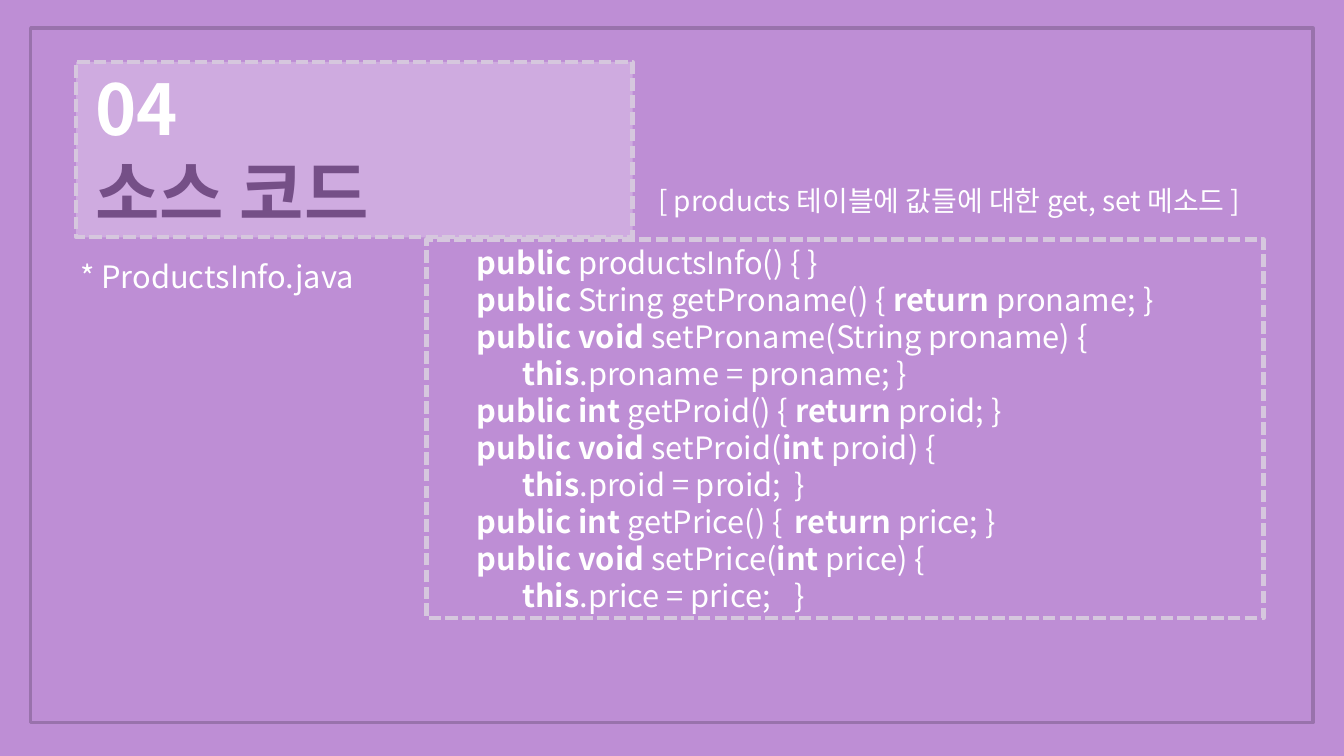
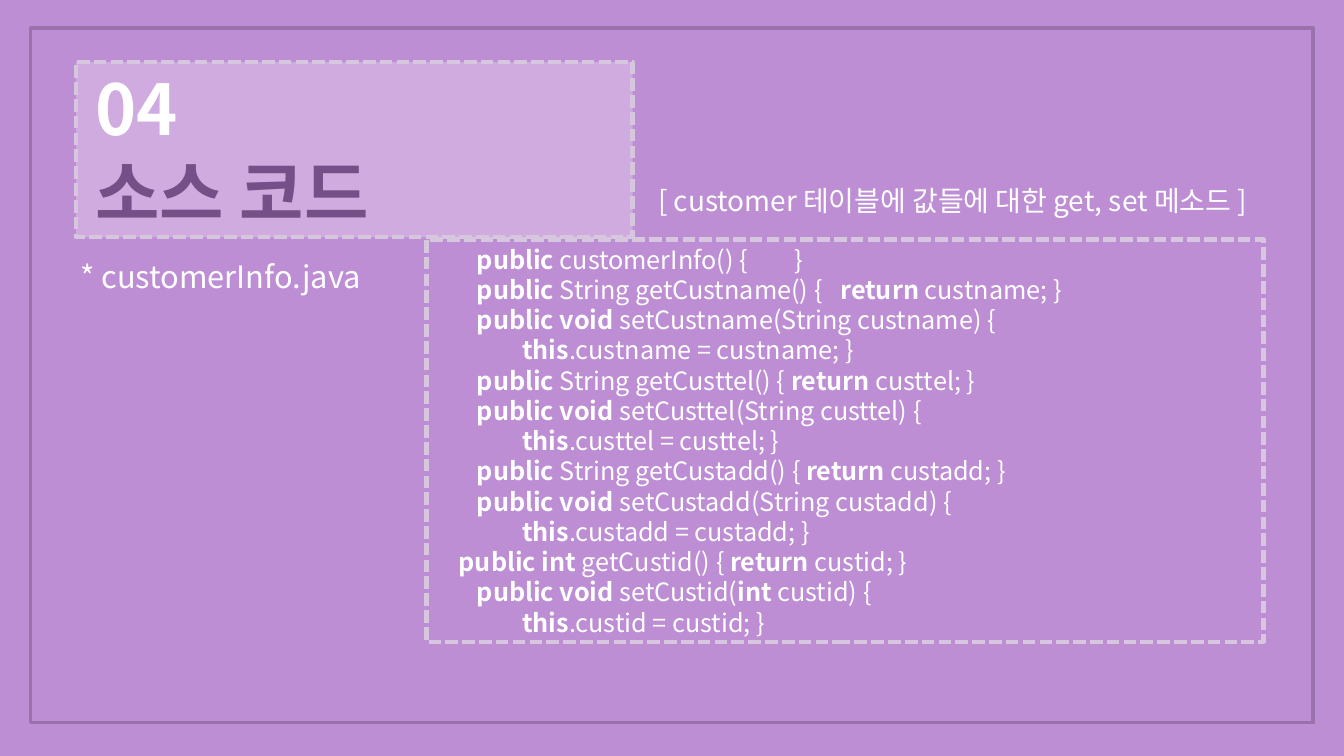
"""Build two source-code slides with a shared frame, title panel and code panel."""
from dataclasses import dataclass

import lxml.etree
import pptx
import pptx.dml.color
import pptx.enum.dml
import pptx.enum.shapes
import pptx.enum.text
import pptx.oxml.ns
import pptx.util

Cm = pptx.util.Cm
Pt = pptx.util.Pt
qn = pptx.oxml.ns.qn

COLORS = {
    "background": "BE8ED5",
    "frame": "9972AC",
    "panel": "F2E8F7",
    "dash": "D6C7DE",
    "heading": "754F87",
    "text": "FFFFFF",
}
FONT = "Noto Sans CJK KR"
LINE_HEIGHT = 1.2
TAB_WIDTH = 2.29
TAB_COUNT = 10
SHORT_INDENT = 1.38


@dataclass(frozen=True)
class Area:
    left: float
    top: float
    width: float
    height: float

    def lengths(self) -> list:
        return [Cm(value) for value in (self.left, self.top, self.width, self.height)]


@dataclass(frozen=True)
class CodePage:
    file_name: str
    file_width: float
    table: str
    caption_width: float
    code_height: float
    code_size: int
    lines: tuple[str, ...]
    short_indent_line: int = -1


FRAME = Area(1.55, 1.42, 64.62, 35)
TITLE = Area(3.84, 3.12, 28.04, 8.84)

PAGES = (
    CodePage("ProductsInfo.java", 14.78, "products", 31.09, 19.08, 44, (
        "\t*public *productsInfo() { }",
        "\t*public* String getProname() { *return *proname; }",
        "\t*public void* setProname(String proname) {",
        "\t\t*this*.proname = proname; }",
        "\t*public int* getProid() { *return *proid; }",
        "\t*public void* setProid(*int* proid) {",
        "\t\t*this*.proid = proid; \t}",
        "\t*public int* getPrice() { \t*return* price; }",
        "\t*public void* setPrice(*int* price) {",
        "\t\t*this*.price = price; \t}",
    )),
    CodePage("customerInfo.java", 15.09, "customer", 31.9, 20.27, 36, (
        "\t*public *customerInfo() { \t}",
        "\t*public* String getCustname() { \t*return* custname; }",
        "\t*public void* setCustname(String custname) {",
        "\t\t*this*.custname = custname; }",
        "\t*public *String getCusttel() { *return* custtel; }",
        "\t*public void* setCusttel(String custtel) {",
        "\t\t*this*.custtel = custtel; }",
        "\t*public *String getCustadd() { *return *custadd; }",
        "\t*public void* setCustadd(String custadd) {",
        "\t\t*this*.custadd = custadd; }",
        "*public int* getCustid() { *return *custid; }",
        "\t*public void* setCustid(*int* custid) {",
        "\t\t*this*.custid = custid; }",
    ), short_indent_line=10),
)


def rgb(name: str) -> pptx.dml.color.RGBColor:
    return pptx.dml.color.RGBColor.from_string(COLORS[name])


def add_panel(page, area: Area, line: str, width: float, dashed: bool = True):
    box = page.shapes.add_shape(pptx.enum.shapes.MSO_SHAPE.RECTANGLE, *area.lengths())
    box.shadow.inherit = False
    box.fill.background()
    box.line.color.rgb = rgb(line)
    box.line.width = Pt(width)
    if dashed:
        box.line.dash_style = pptx.enum.dml.MSO_LINE.SQUARE_DOT
    return box


def set_frame(box, side: float = 0.15, edge: float = 0.15, wrap: bool = True):
    frame = box.text_frame
    frame.word_wrap = wrap
    frame.vertical_anchor = pptx.enum.text.MSO_ANCHOR.MIDDLE
    frame.margin_left = frame.margin_right = Cm(side)
    frame.margin_top = frame.margin_bottom = Cm(edge)
    return frame


def style_paragraph(para, size: int, color: str = "text", bold: bool = False) -> None:
    para.alignment = pptx.enum.text.PP_ALIGN.LEFT
    para.line_spacing = Pt(size * LINE_HEIGHT)
    para.font.size = Pt(size)
    para.font.bold = bold
    para.font.color.rgb = rgb(color)
    para.font.name = FONT
    defaults = para._p.pPr.find(qn("a:defRPr"))
    lxml.etree.SubElement(defaults, qn("a:ea")).set("typeface", FONT)


def set_tab_stops(para) -> None:
    properties = para._p.pPr
    stops = lxml.etree.Element(qn("a:tabLst"))
    for number in range(1, TAB_COUNT + 1):
        stop = lxml.etree.SubElement(stops, qn("a:tab"))
        stop.set("pos", str(Cm(TAB_WIDTH * number)))
        stop.set("algn", "l")
    properties.find(qn("a:defRPr")).addprevious(stops)


def add_paragraph(frame, index: int):
    return frame.paragraphs[0] if index == 0 else frame.add_paragraph()


def add_title(page) -> None:
    box = add_panel(page, TITLE, "dash", 6)
    box.fill.solid()
    box.fill.fore_color.rgb = rgb("panel")
    color = box.fill._xPr.find(qn("a:solidFill"))[0]
    lxml.etree.SubElement(color, qn("a:alpha")).set("val", "33000")
    frame = set_frame(box)
    for index, (text, name) in enumerate(((" 04", "text"), (" 소스 코드", "heading"))):
        para = add_paragraph(frame, index)
        para.add_run().text = text
        style_paragraph(para, 100, name, bold=True)


def add_label(page, area: Area, text: str, size: int, wrap: bool) -> None:
    frame = set_frame(page.shapes.add_textbox(*area.lengths()), wrap=wrap)
    para = frame.paragraphs[0]
    para.add_run().text = text
    style_paragraph(para, size)


def add_code(page, content: CodePage) -> None:
    area = Area(21.49, 12.07, 42.19, content.code_height)
    frame = set_frame(add_panel(page, area, "dash", 6), side=0.25, edge=0.13)
    for index, line in enumerate(content.lines):
        para = add_paragraph(frame, index)
        for position, text in enumerate(line.split("*")):
            if text:
                span = para.add_run()
                span.text = text
                span.font.bold = position % 2 == 1
        style_paragraph(para, content.code_size)
        set_tab_stops(para)
        if index == content.short_indent_line:
            para._p.pPr.set("marL", str(Cm(SHORT_INDENT)))


def add_page(deck, content: CodePage) -> None:
    page = deck.slides.add_slide(deck.slide_layouts[6])
    page.background.fill.solid()
    page.background.fill.fore_color.rgb = rgb("background")
    add_panel(page, FRAME, "frame", 5, dashed=False)
    add_title(page)
    add_label(page, Area(3.89, 12.83, content.file_width, 2.16),
              f"* {content.file_name}", 44, wrap=False)
    add_code(page, content)
    add_label(page, Area(33.02, 9.07, content.caption_width, 2.01),
              f"[ {content.table} 테이블에 값들에 대한 get, set 메소드 ]", 40, wrap=True)


def main() -> None:
    deck = pptx.Presentation()
    deck.slide_width = Cm(67.73)
    deck.slide_height = Cm(38.1)
    for content in PAGES:
        add_page(deck, content)
    deck.save("out.pptx")


if __name__ == "__main__":
    main()
